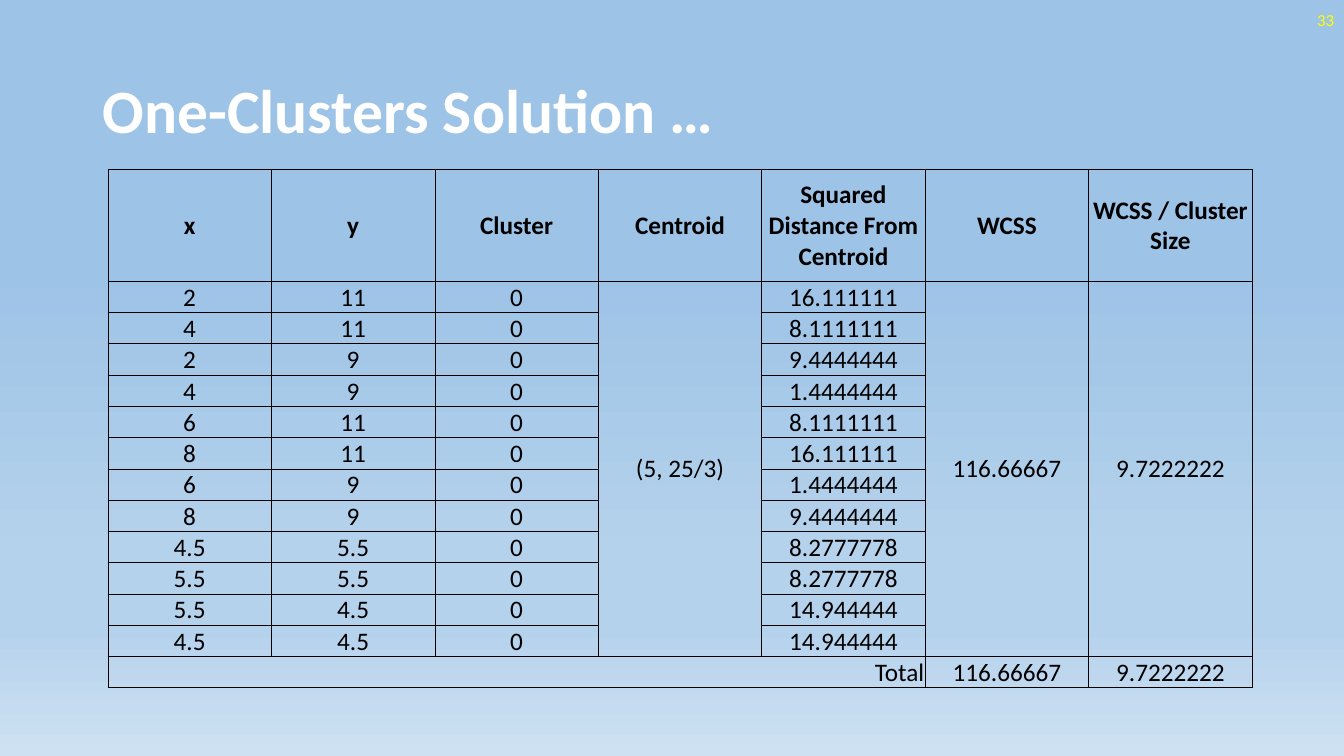
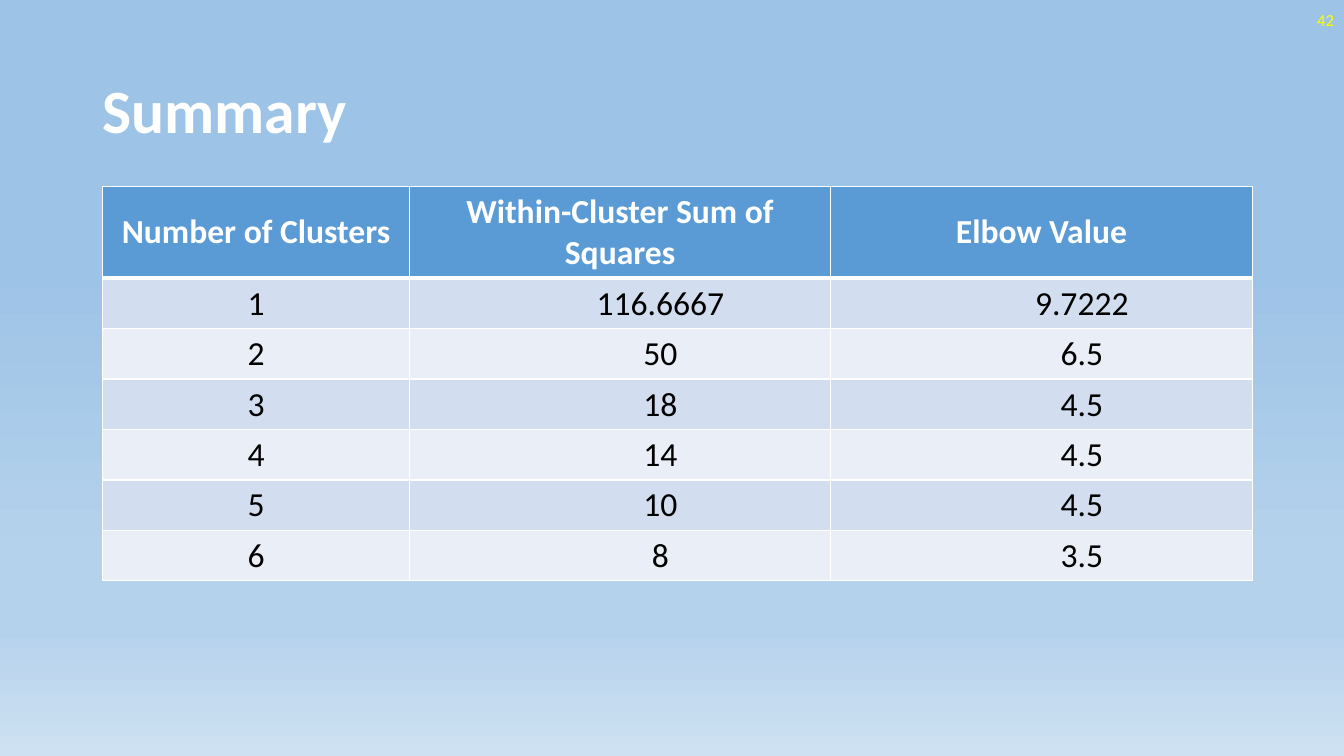
"""Builds two slides with tables of clustering results."""
from lxml.etree import SubElement
from pptx import Presentation
from pptx.dml.color import RGBColor
from pptx.enum.text import MSO_ANCHOR, PP_ALIGN
from pptx.oxml.ns import qn
from pptx.util import Inches, Pt

COLORS = {
    "white": "FFFFFF", "black": "000000", "yellow": "FFFF00",
    "head": "5B9BD5", "odd": "D2DEEF", "even": "EAEFF7",
}
STOPS = [(35, "9DC3E6"), (74, "B5D2EC"), (83, "B5D2EC"), (100, "CEE1F2")]
WIDE, HIGH = 13.33, 7.5
TITLE = {"size": Pt(44), "bold": True}
NUMBER = {"size": Pt(12), "bold": False}

POINTS = [
    ("2", "11", "16.111111"), ("4", "11", "8.1111111"),
    ("2", "9", "9.4444444"), ("4", "9", "1.4444444"),
    ("6", "11", "8.1111111"), ("8", "11", "16.111111"),
    ("6", "9", "1.4444444"), ("8", "9", "9.4444444"),
    ("4.5", "5.5", "8.2777778"), ("5.5", "5.5", "8.2777778"),
    ("5.5", "4.5", "14.944444"), ("4.5", "4.5", "14.944444"),
]
SUMS = ["116.66667", "9.7222222"]
HEADS = ["x", "y", "Cluster", "Centroid", "Squared Distance From Centroid",
         "WCSS", "WCSS / Cluster Size"]
FIRST = ["(5, 25/3)", *SUMS]
BODY = []
for i, (x, y, gap) in enumerate(POINTS):
    mid, wcss, mean = FIRST if i == 0 else ("", "", "")
    BODY.append([x, y, "0", mid, gap, wcss, mean])
LAST = len(POINTS)

SLIDES = [
    {
        "title": "One-Clusters Solution …", "number": "33",
        "rows": [HEADS, *BODY, ["Total", "", "", "", "", *SUMS]],
        "at": (1.07, 1.68), "cols": [11.35 / 7] * 7, "high": (1.11, 0.31),
        "merge": [(1, c, LAST, c) for c in (3, 5, 6)] + [(LAST + 1, 0, LAST + 1, 4)],
        "right": ["Total"], "size": 18, "head": "black", "fills": None,
        "edge": ("black", 0.5, 0.5), "pad": (0.01, 0.01, 0.01, 0), "indent": 0,
    },
    {
        "title": "Summary", "number": "42",
        "rows": [
            ["Number of Clusters", "Within-Cluster Sum of Squares", "Elbow Value"],
            ["1", "116.6667", "9.7222"], ["2", "50", "6.5"],
            ["3", "18", "4.5"], ["4", "14", "4.5"],
            ["5", "10", "4.5"], ["6", "8", "3.5"],
        ],
        "at": (1.02, 1.85), "cols": [3.04, 4.18, 4.18], "high": (0.91, 0.5),
        "merge": [], "right": [], "size": 24, "head": "white",
        "fills": ("head", "odd", "even"), "edge": ("white", 1, 3),
        "pad": (0.1, 0.05, 0.1, 0.05), "indent": 0.8,
    },
]


def write(para, text, color, style, align=PP_ALIGN.LEFT):
    run = para.add_run()
    run.text = text
    para.alignment = align
    for key, value in {"name": "Calibri", **style}.items():
        setattr(run.font, key, value)
    run.font.color.rgb = RGBColor.from_string(COLORS[color])


def label(slide, box, text, color, style, align=PP_ALIGN.LEFT, space=1):
    frame = slide.shapes.add_textbox(*map(Inches, box)).text_frame
    frame.word_wrap = True
    frame.vertical_anchor = MSO_ANCHOR.MIDDLE
    frame.paragraphs[0].line_spacing = space
    write(frame.paragraphs[0], text, color, style, align)


def border(cell, color, widths):
    props = cell._tc.get_or_add_tcPr()
    for side, width in zip("LRTB", widths):
        line = SubElement(props, qn(f"a:ln{side}"), w=str(Pt(width)))
        fill = SubElement(line, qn("a:solidFill"))
        SubElement(fill, qn("a:srgbClr"), val=COLORS[color])


def paint(cell, r, fills):
    if not fills:
        cell.fill.background()
        return
    name = fills[0] if r == 0 else fills[2 - r % 2]
    cell.fill.solid()
    cell.fill.fore_color.rgb = RGBColor.from_string(COLORS[name])


def fill_cell(cell, text, r, c, data):
    color, thin, thick = data["edge"]
    top = thick if r == 1 else thin
    low = thick if r == 0 else thin
    border(cell, color, (thin, thin, top, low))
    paint(cell, r, data["fills"])
    cell.vertical_anchor = MSO_ANCHOR.MIDDLE
    for side, pad in zip(("left", "top", "right", "bottom"), data["pad"]):
        setattr(cell, f"margin_{side}", Inches(pad))
    para = cell.text_frame.paragraphs[0]
    if data["indent"] and r and c:
        para.level = 1
        props = para._p.get_or_add_pPr()
        props.set("marL", str(Inches(data["indent"])))
        props.set("indent", "0")
    if text:
        style = {"size": Pt(data["size"]), "bold": r == 0}
        align = PP_ALIGN.RIGHT if text in data["right"] else PP_ALIGN.CENTER
        write(para, text, "black" if r else data["head"], style, align)


def add_grid(slide, data):
    rows, cols = data["rows"], data["cols"]
    head, step = data["high"]
    size = (sum(cols), head + step * (len(rows) - 1))
    box = map(Inches, (*data["at"], *size))
    table = slide.shapes.add_table(len(rows), len(cols), *box).table
    table.first_row = table.horz_banding = False
    for col, width in zip(table.columns, cols):
        col.width = Inches(width)
    for r, row in enumerate(rows):
        table.rows[r].height = Inches(step if r else head)
        for c, text in enumerate(row):
            fill_cell(table.cell(r, c), text, r, c, data)
    for top, left, low, right in data["merge"]:
        table.cell(top, left).merge(table.cell(low, right))


def set_back(master):
    fill = master.background.fill
    fill.gradient()
    fill.gradient_angle = 270
    stops = master._element.find(".//" + qn("p:bg")).find(".//" + qn("a:gsLst"))
    for stop in list(stops):
        stops.remove(stop)
    for place, color in STOPS:
        stop = SubElement(stops, qn("a:gs"), pos=str(place * 1000))
        SubElement(stop, qn("a:srgbClr"), val=color)


def main():
    deck = Presentation()
    deck.slide_width, deck.slide_height = Inches(WIDE), Inches(HIGH)
    set_back(deck.slide_master)
    for data in SLIDES:
        slide = deck.slides.add_slide(deck.slide_layouts[6])
        label(slide, (0.92, 0.4, 11.5, 1.45), data["title"], "white", TITLE, space=0.9)
        label(slide, (WIDE - 3, 0, 3, 0.4), data["number"], "yellow", NUMBER, PP_ALIGN.RIGHT)
        add_grid(slide, data)
    deck.save("out.pptx")


if __name__ == "__main__":
    main()
